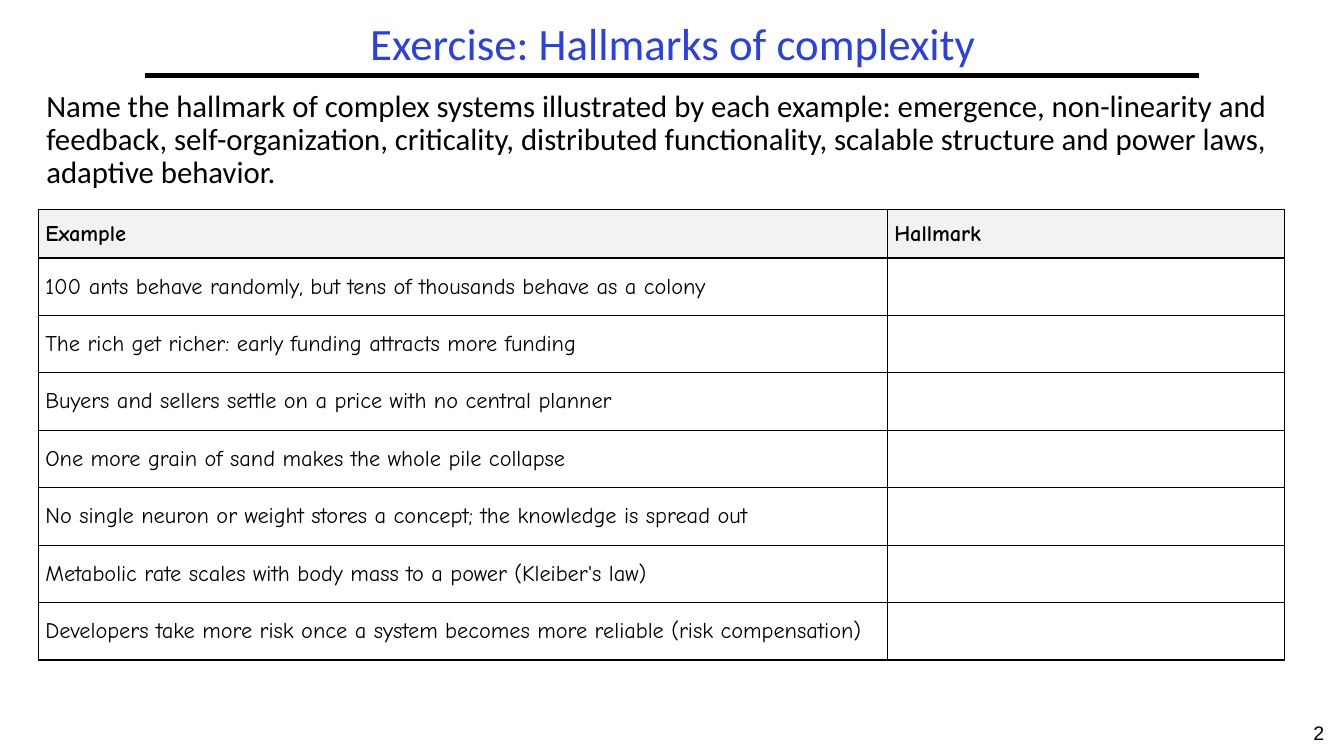
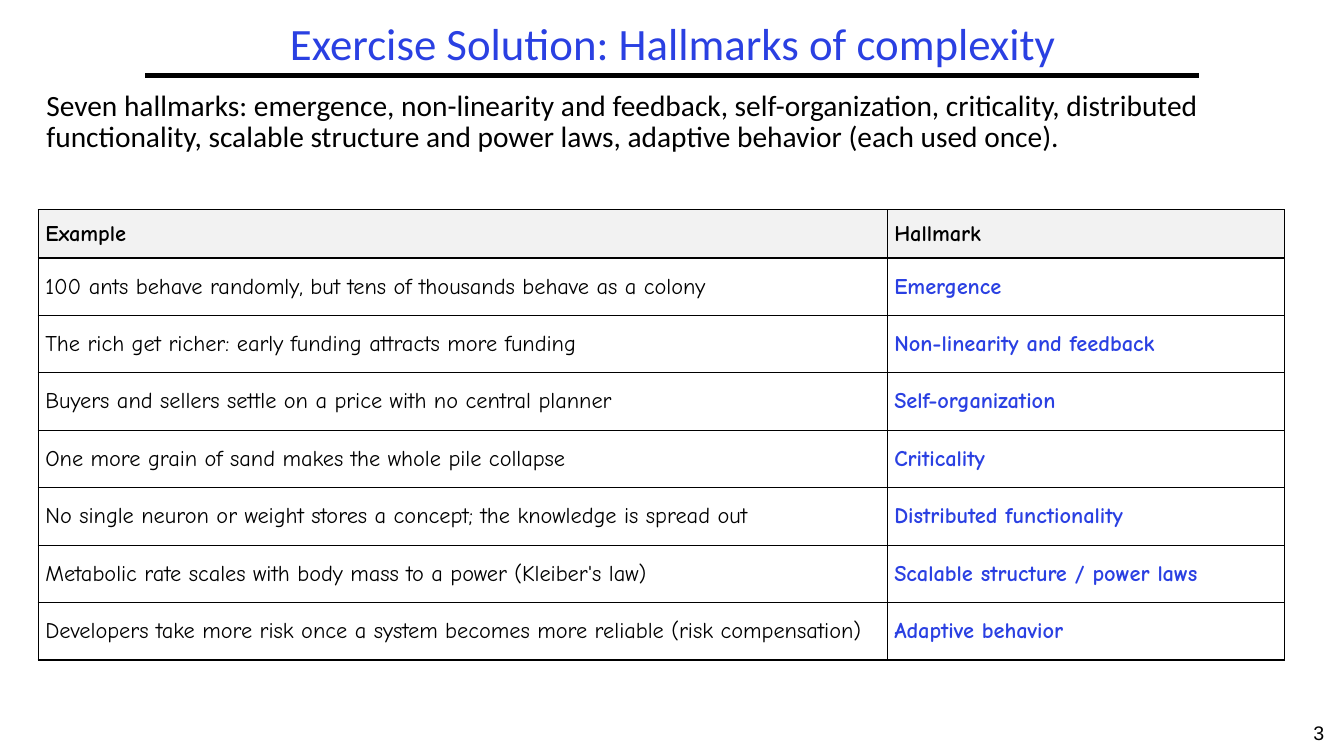
import lxml.etree
import pptx
import pptx.dml.color
import pptx.enum.shapes
import pptx.enum.text
import pptx.oxml.ns
import pptx.util

Inches = pptx.util.Inches
Pt = pptx.util.Pt
qn = pptx.oxml.ns.qn
ALIGN = pptx.enum.text.PP_ALIGN
ANCHOR = pptx.enum.text.MSO_ANCHOR

BLACK, WHITE, BLUE, HEADER_GREY = "000000", "FFFFFF", "2A40E2", "F2F2F2"

EXAMPLES = [
    ("100 ants behave randomly, but tens of thousands behave as a colony", "Emergence"),
    ("The rich get richer: early funding attracts more funding", "Non-linearity and feedback"),
    ("Buyers and sellers settle on a price with no central planner", "Self-organization"),
    ("One more grain of sand makes the whole pile collapse", "Criticality"),
    ("No single neuron or weight stores a concept; the knowledge is spread out",
     "Distributed functionality"),
    ("Metabolic rate scales with body mass to a power (Kleiber's law)",
     "Scalable structure / power laws"),
    ("Developers take more risk once a system becomes more reliable (risk compensation)",
     "Adaptive behavior"),
]

HALLMARKS = ("emergence, non-linearity and feedback, self-organization, criticality, "
             "distributed functionality, scalable structure and power laws, adaptive behavior")


def color(hex_code):
    return pptx.dml.color.RGBColor.from_string(hex_code)


def apply(target, values):
    for name, value in values.items():
        setattr(target, name, value)


class Deck:
    # Shared text styles
    TITLE = {"name": "Calibri", "size": Pt(32), "bold": False}
    BODY = {"name": "Calibri", "bold": False}
    CELL = {"name": "Comic Neue", "size": Pt(16)}
    NUMBER = {"name": "Arial", "size": Pt(14)}
    CELL_FRAME = {"vertical_anchor": ANCHOR.MIDDLE,
                  "margin_left": Inches(0.07), "margin_right": Inches(0.07),
                  "margin_top": Inches(0.03), "margin_bottom": Inches(0.03)}

    def __init__(self):
        self.prs = pptx.Presentation()
        apply(self.prs, {"slide_width": Inches(13.33), "slide_height": Inches(7.5)})
        self.slide = None

    def new_slide(self, title, number):
        self.slide = self.prs.slides.add_slide(self.prs.slide_layouts[1])
        self.rule()
        self.page_number(number)
        self.title(title)

    def set_text(self, paragraph, text, font, hex_code, **layout):
        paragraph.text = text
        apply(paragraph, layout)
        apply(paragraph.font, font)
        paragraph.font.color.rgb = color(hex_code)

    def place(self, shape, left, top, width, height, anchor):
        apply(shape, {"left": Inches(left), "top": Inches(top),
                      "width": Inches(width), "height": Inches(height)})
        apply(shape.text_frame, {"word_wrap": True, "vertical_anchor": anchor,
                                 "auto_size": pptx.enum.text.MSO_AUTO_SIZE.NONE})
        return shape.text_frame.paragraphs[0]

    def title(self, text):
        heading = self.place(self.slide.shapes.title, 1.44, 0.17, 10.47, 0.58, ANCHOR.MIDDLE)
        self.set_text(heading, text, self.TITLE, BLUE, alignment=ALIGN.CENTER, line_spacing=0.9)

    def body(self, text, size):
        intro = self.place(self.slide.placeholders[1], 0.36, 0.85, 12.58, 1.22, ANCHOR.TOP)
        properties = intro._p.get_or_add_pPr()
        for name in ("marL", "indent"):
            properties.set(name, "0")
        lxml.etree.SubElement(properties, qn("a:buNone"))
        self.set_text(intro, text, {**self.BODY, "size": Pt(size)}, BLACK,
                      alignment=ALIGN.LEFT, line_spacing=0.9, space_before=Pt(0))

    def rule(self):
        rule = self.slide.shapes.add_connector(
            pptx.enum.shapes.MSO_CONNECTOR.STRAIGHT,
            Inches(1.44), Inches(0.75), Inches(11.89), Inches(0.75))
        rule.line.color.rgb = color(BLACK)
        rule.line.width = Pt(3)
        lxml.etree.SubElement(rule._element.spPr, qn("a:effectLst"))

    def page_number(self, number):
        box = self.slide.shapes.add_textbox(0, 0, 0, 0)
        paragraph = self.place(box, 12.83, 7.1, 0.5, 0.4, ANCHOR.TOP)
        self.set_text(paragraph, str(number), self.NUMBER, BLACK, alignment=ALIGN.CENTER)

    def borders(self, cell):
        properties = cell._tc.get_or_add_tcPr()
        for side in ("a:lnL", "a:lnR", "a:lnT", "a:lnB"):
            line = lxml.etree.SubElement(properties, qn(side), w=str(Pt(1)))
            fill = lxml.etree.SubElement(line, qn("a:solidFill"))
            lxml.etree.SubElement(fill, qn("a:srgbClr"), val=BLACK)

    def cell(self, cell, text, hex_code, bold, background):
        self.borders(cell)
        cell.fill.solid()
        cell.fill.fore_color.rgb = color(background)
        apply(cell, self.CELL_FRAME)
        self.set_text(cell.text_frame.paragraphs[0], text, {**self.CELL, "bold": bold}, hex_code)

    def hallmark_table(self, solved):
        widths = (8.42, 3.94)
        heights = [0.48] + [0.57] * len(EXAMPLES)
        table = self.slide.shapes.add_table(
            len(heights), len(widths), Inches(0.38), Inches(2.08),
            Inches(sum(widths)), Inches(sum(heights))).table
        apply(table, {"first_row": False, "horz_banding": False})
        for column, width in zip(table.columns, widths):
            column.width = Inches(width)
        for row, height in zip(table.rows, heights):
            row.height = Inches(height)

        # Header row, then one row for each example
        for column, heading in enumerate(("Example", "Hallmark")):
            self.cell(table.cell(0, column), heading, BLACK, True, HEADER_GREY)
        for row, (example, hallmark) in enumerate(EXAMPLES, start=1):
            self.cell(table.cell(row, 0), example, BLACK, False, WHITE)
            self.cell(table.cell(row, 1), hallmark if solved else "", BLUE, True, WHITE)


def main():
    deck = Deck()

    # Exercise
    deck.new_slide("Exercise: Hallmarks of complexity", 2)
    deck.body("Name the hallmark of complex systems illustrated by each example: "
              f"{HALLMARKS}.", 22)
    deck.hallmark_table(solved=False)

    # Solution
    deck.new_slide("Exercise Solution: Hallmarks of complexity", 3)
    deck.body(f"Seven hallmarks: {HALLMARKS} (each used once).", 21)
    deck.hallmark_table(solved=True)

    deck.prs.save("out.pptx")


if __name__ == "__main__":
    main()
